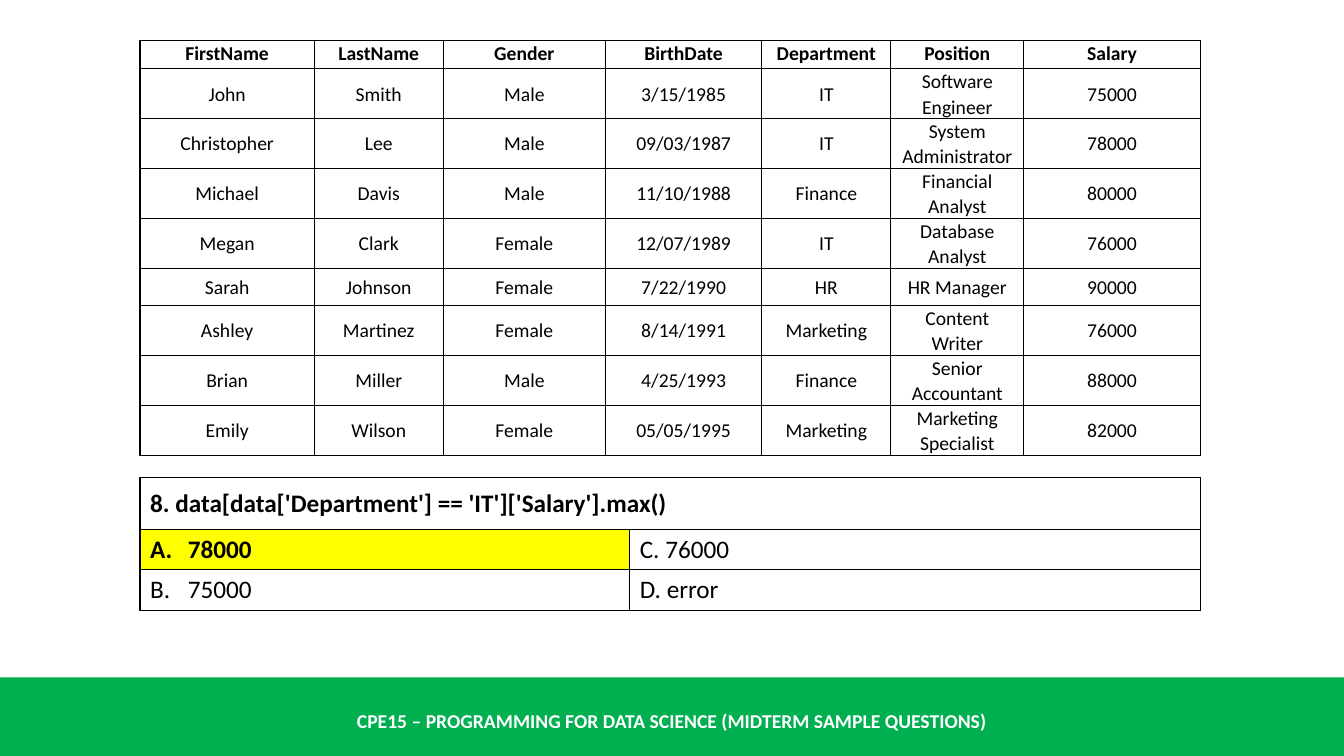
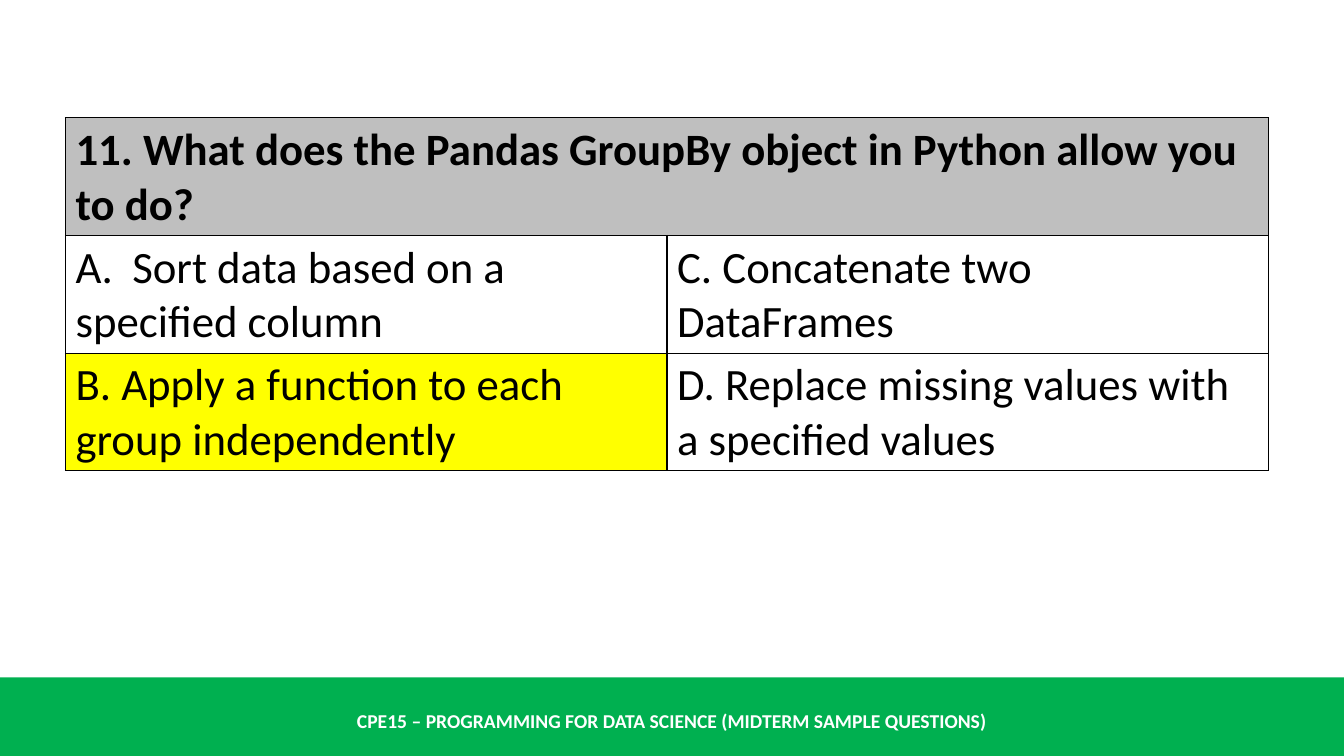
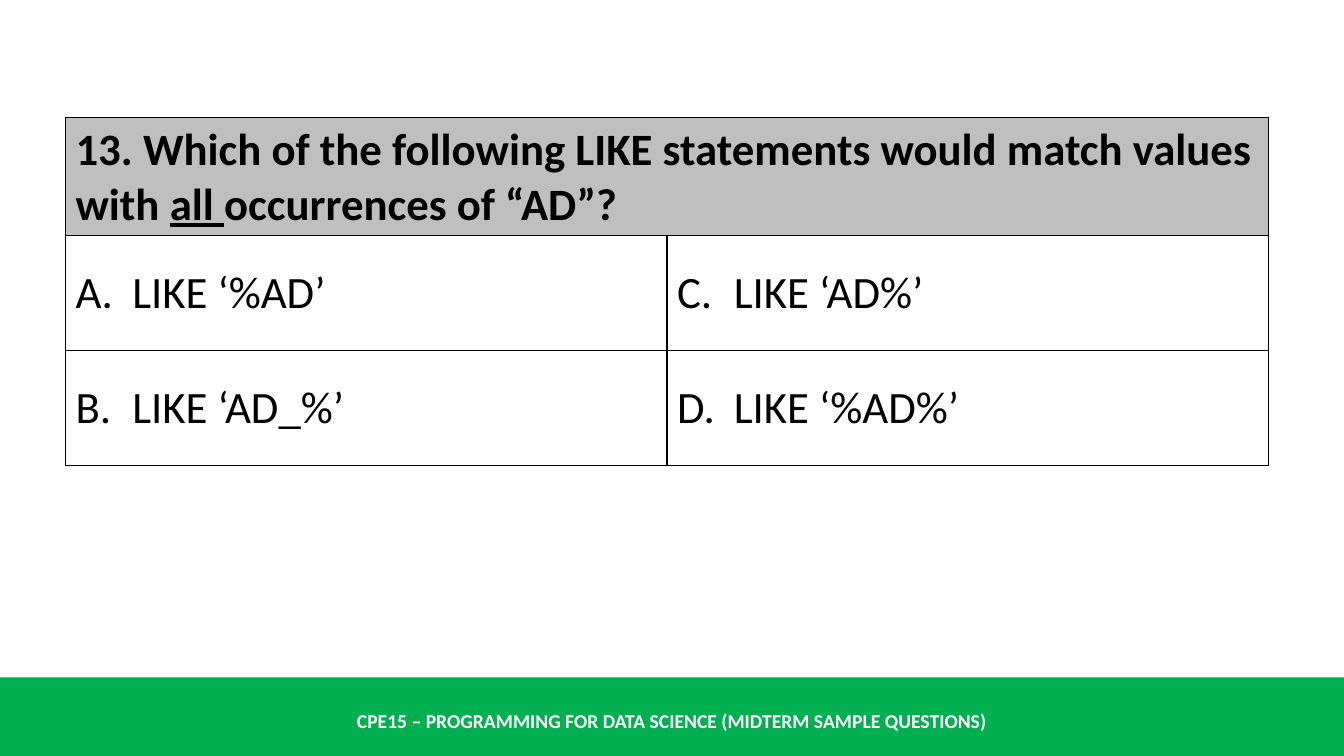
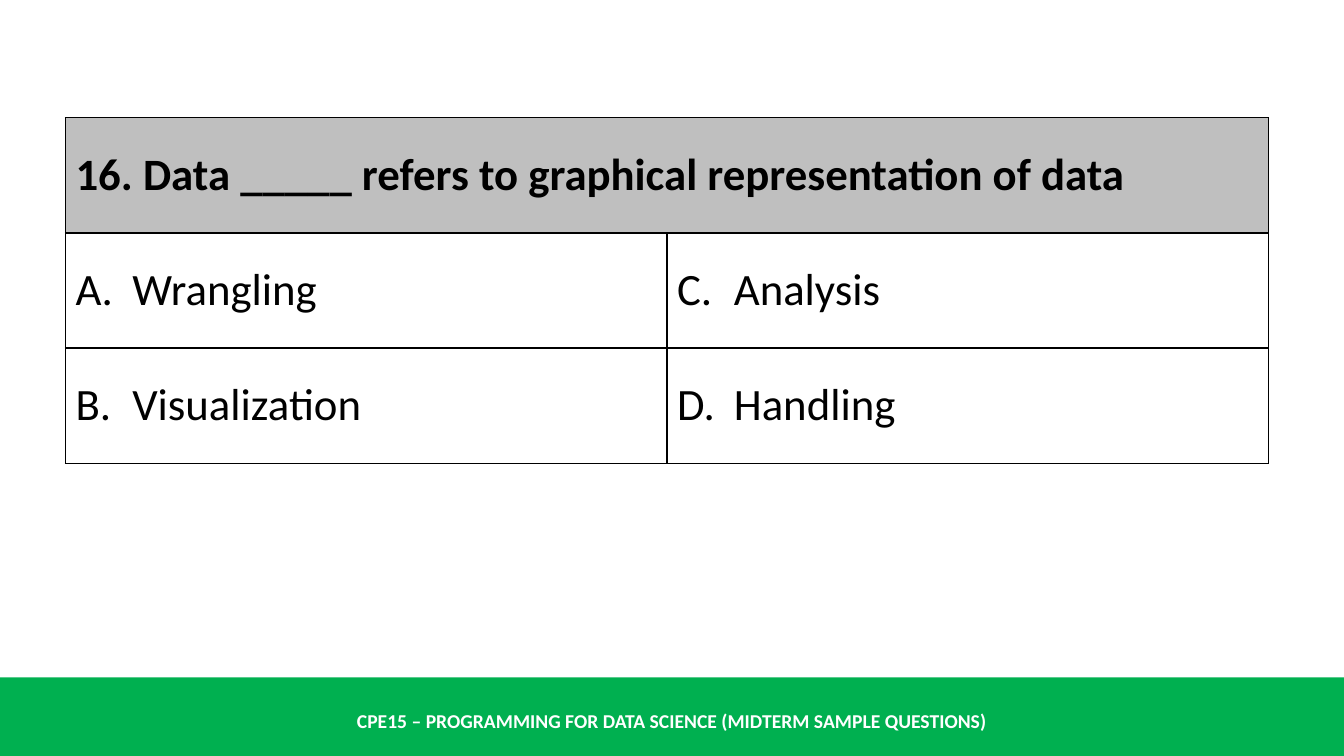
import pptx
import pptx.dml.color
import pptx.enum.shapes
import pptx.enum.text
import pptx.oxml
import pptx.oxml.ns
import pptx.util

Cm, Pt = pptx.util.Cm, pptx.util.Pt
CENTER = pptx.enum.text.PP_ALIGN.CENTER
LEFT = pptx.enum.text.PP_ALIGN.LEFT
MIDDLE = pptx.enum.text.MSO_ANCHOR.MIDDLE
TOP = pptx.enum.text.MSO_ANCHOR.TOP

# Shared style
FONT = "Calibri"
BLACK, WHITE, GREEN, GREY, YELLOW = "000000", "FFFFFF", "00B050", "BFBFBF", "FFFF00"
SLIDE_WIDTH, SLIDE_HEIGHT = 33.87, 19.05
FOOTER = "CPE15 – PROGRAMMING FOR DATA SCIENCE (MIDTERM SAMPLE QUESTIONS)"

# Employee table
EMPLOYEES = [
    ("FirstName", "LastName", "Gender", "BirthDate", "Department", "Position", "Salary"),
    ("John", "Smith", "Male", "3/15/1985", "IT", "Software Engineer", "75000"),
    ("Christopher", "Lee", "Male", "09/03/1987", "IT", "System Administrator", "78000"),
    ("Michael", "Davis", "Male", "11/10/1988", "Finance", "Financial Analyst", "80000"),
    ("Megan", "Clark", "Female", "12/07/1989", "IT", "Database Analyst", "76000"),
    ("Sarah", "Johnson", "Female", "7/22/1990", "HR", "HR Manager", "90000"),
    ("Ashley", "Martinez", "Female", "8/14/1991", "Marketing", "Content Writer", "76000"),
    ("Brian", "Miller", "Male", "4/25/1993", "Finance", "Senior Accountant", "88000"),
    ("Emily", "Wilson", "Female", "05/05/1995", "Marketing", "Marketing Specialist", "82000"),
]
EMPLOYEE_COLUMNS = [4.39, 3.25, 4.09, 3.94, 3.25, 3.35, 4.45]
EMPLOYEE_ROWS = [0.71, 1.19, 1.07, 1.09, 1.09, 0.94, 0.94, 1.19, 1.19]

# Question layouts
SMALL = {"left": 3.53, "top": 12.04, "columns": [12.34, 14.38], "rows": [1.3, 0.86, 0.86],
         "size": 18, "indent": 0.95, "fill": None}
LARGE = {"left": 1.65, "top": 2.97, "columns": [15.16, 15.16], "rows": [2.9, 2.9, 2.9],
         "size": 32, "indent": 1.43, "fill": GREY}

# Questions: every second part of "question" is underlined. Options are in grid
# order (A, C, B, D), each a list of paragraphs; (number, text) is auto-lettered.
QUESTIONS = [
    {"layout": SMALL, "employees": True, "answer": 0, "bold_answer": True,
     "question": ["8. data[data['Department'] == 'IT']['Salary'].max()"],
     "options": [[(1, "78000")], ["C. 76000"], [(2, "75000")], ["D. error"]]},
    {"layout": LARGE, "answer": 2,
     "question": ["11. What does the Pandas GroupBy object in Python allow you to do?"],
     "options": [[(1, "Sort data based on a"), "specified column"],
                 ["C. Concatenate two DataFrames"],
                 ["B. Apply a function to each", "group independently"],
                 ["D. Replace missing values with a specified values"]]},
    {"layout": LARGE,
     "question": ["13. Which of the following LIKE statements would match values with ",
                  "all ", "occurrences of “AD”?"],
     "options": [[(1, "LIKE ‘%AD’")], [(3, "LIKE ‘AD%’")],
                 [(2, "LIKE ‘AD_%’")], [(4, "LIKE ‘%AD%’")]]},
    {"layout": LARGE,
     "question": ["16. Data _____ refers to graphical representation of data"],
     "options": [[(1, "Wrangling")], [(3, "Analysis")],
                 [(2, "Visualization")], [(4, "Handling")]]},
]


def rgb(value):
    return pptx.dml.color.RGBColor.from_string(value)


def style_paragraph(paragraph, size, bold=False, color=BLACK, align=LEFT):
    paragraph.alignment = align
    font = paragraph.font
    font.name, font.size, font.bold = FONT, Pt(size), bold
    font.color.rgb = rgb(color)


def add_letter(paragraph, number, indent):
    """Letter a paragraph automatically, with a hanging indent."""
    properties = paragraph._p.get_or_add_pPr()
    properties.set("marL", str(Cm(indent)))
    properties.set("indent", str(-Cm(indent)))
    properties.append(pptx.oxml.parse_xml(
        f'<a:buAutoNum {pptx.oxml.ns.nsdecls("a")} type="alphaUcPeriod" startAt="{number}"/>'))


def style_cell(cell, fill=None, anchor=MIDDLE):
    cell.vertical_anchor = anchor
    properties = cell._tc.get_or_add_tcPr()
    for side in ("lnL", "lnR", "lnT", "lnB"):
        properties.append(pptx.oxml.parse_xml(
            f'<a:{side} {pptx.oxml.ns.nsdecls("a")} w="{Pt(1)}"><a:solidFill>'
            f'<a:srgbClr val="{BLACK}"/></a:solidFill></a:{side}>'))
    if fill:
        cell.fill.solid()
        cell.fill.fore_color.rgb = rgb(fill)
    else:
        cell.fill.background()


def add_grid(slide, left, top, columns, rows):
    frame = slide.shapes.add_table(len(rows), len(columns), Cm(left), Cm(top),
                                   Cm(sum(columns)), Cm(sum(rows)))
    table = frame.table
    table.first_row = table.horz_banding = False
    for column, width in zip(table.columns, columns):
        column.width = Cm(width)
    for row, height in zip(table.rows, rows):
        row.height = Cm(height)
    return table


def add_footer(slide):
    band = slide.shapes.add_shape(pptx.enum.shapes.MSO_SHAPE.RECTANGLE,
                                  0, Cm(17.07), Cm(SLIDE_WIDTH), Cm(1.98))
    band.shadow.inherit = False
    band.fill.solid()
    band.fill.fore_color.rgb = rgb(GREEN)
    band.line.fill.background()
    box = slide.shapes.add_textbox(0, Cm(17.65), Cm(SLIDE_WIDTH), Cm(1.02))
    box.text_frame.word_wrap = True
    box.text_frame.vertical_anchor = MIDDLE
    paragraph = box.text_frame.paragraphs[0]
    paragraph.text = FOOTER
    style_paragraph(paragraph, 14, True, WHITE, CENTER)


def add_employees(slide):
    table = add_grid(slide, 3.53, 1.02, EMPLOYEE_COLUMNS, EMPLOYEE_ROWS)
    for row_index, record in enumerate(EMPLOYEES):
        header = row_index == 0
        for column_index, text in enumerate(record):
            cell = table.cell(row_index, column_index)
            style_cell(cell, anchor=TOP if header else MIDDLE)
            cell.margin_left = cell.margin_right = Cm(0.18)
            cell.margin_top = cell.margin_bottom = 0
            paragraph = cell.text_frame.paragraphs[0]
            paragraph.text = text
            paragraph.line_spacing = 1.06
            style_paragraph(paragraph, 14, header, align=CENTER)


def add_question(slide, item):
    layout = item["layout"]
    size = layout["size"]
    table = add_grid(slide, layout["left"], layout["top"], layout["columns"], layout["rows"])

    # Question row
    for column_index in range(2):
        style_cell(table.cell(0, column_index), layout["fill"])
    table.cell(0, 0).merge(table.cell(0, 1))
    paragraph = table.cell(0, 0).text_frame.paragraphs[0]
    style_paragraph(paragraph, size, True)
    for index, text in enumerate(item["question"]):
        run = paragraph.add_run()
        run.text = text
        if index % 2:
            run.font.underline = True

    # Options
    for index, lines in enumerate(item["options"]):
        cell = table.cell(1 + index // 2, index % 2)
        answer = index == item.get("answer")
        style_cell(cell, YELLOW if answer else None)
        for line_index, line in enumerate(lines):
            frame = cell.text_frame
            paragraph = frame.add_paragraph() if line_index else frame.paragraphs[0]
            if isinstance(line, tuple):
                number, line = line
                add_letter(paragraph, number, layout["indent"])
            paragraph.text = line
            style_paragraph(paragraph, size, answer and item.get("bold_answer", False))


def main():
    presentation = pptx.Presentation()
    presentation.slide_width = Cm(SLIDE_WIDTH)
    presentation.slide_height = Cm(SLIDE_HEIGHT)
    for item in QUESTIONS:
        slide = presentation.slides.add_slide(presentation.slide_layouts[6])
        add_footer(slide)
        if item.get("employees"):
            add_employees(slide)
        add_question(slide, item)
    presentation.save("out.pptx")


if __name__ == "__main__":
    main()
